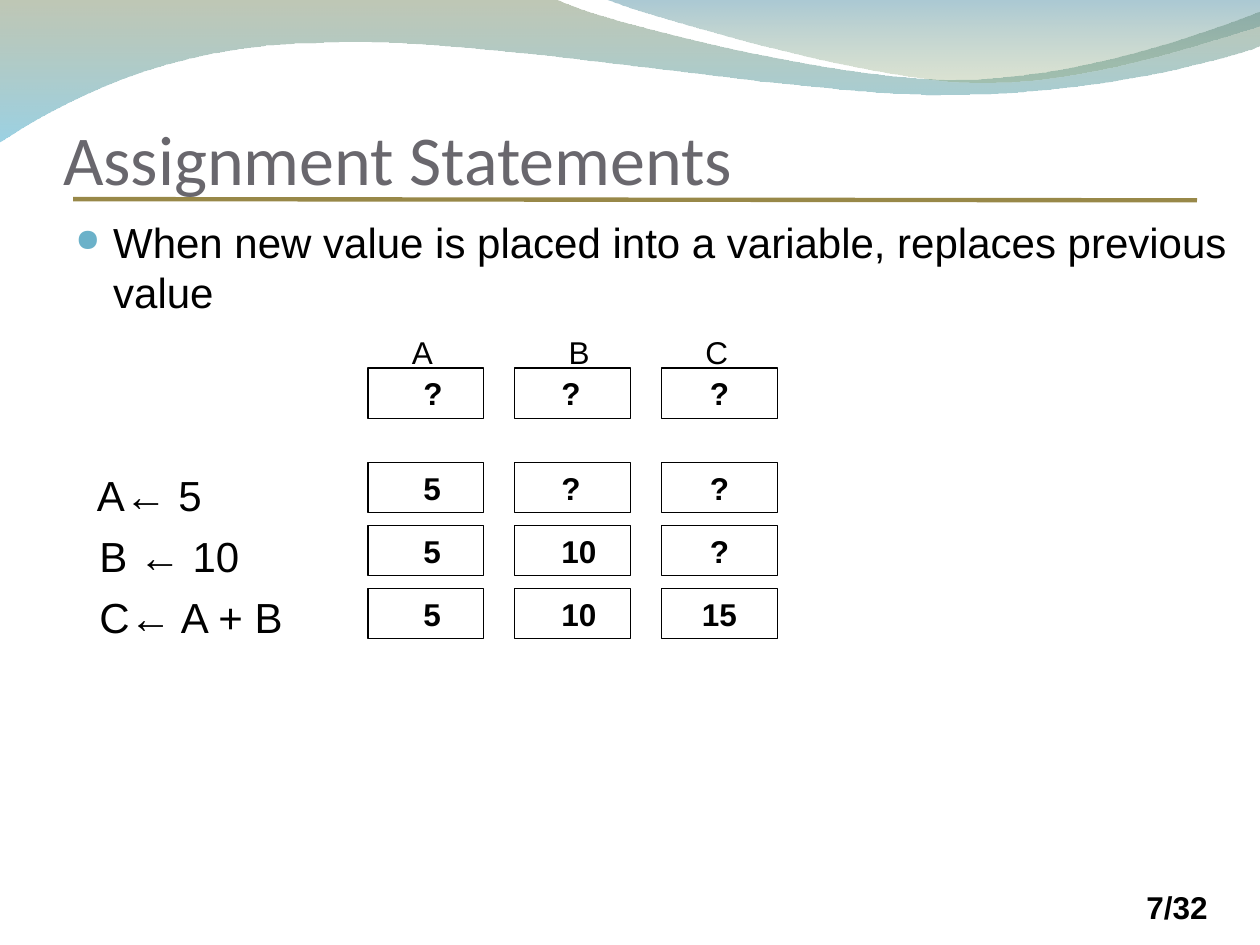
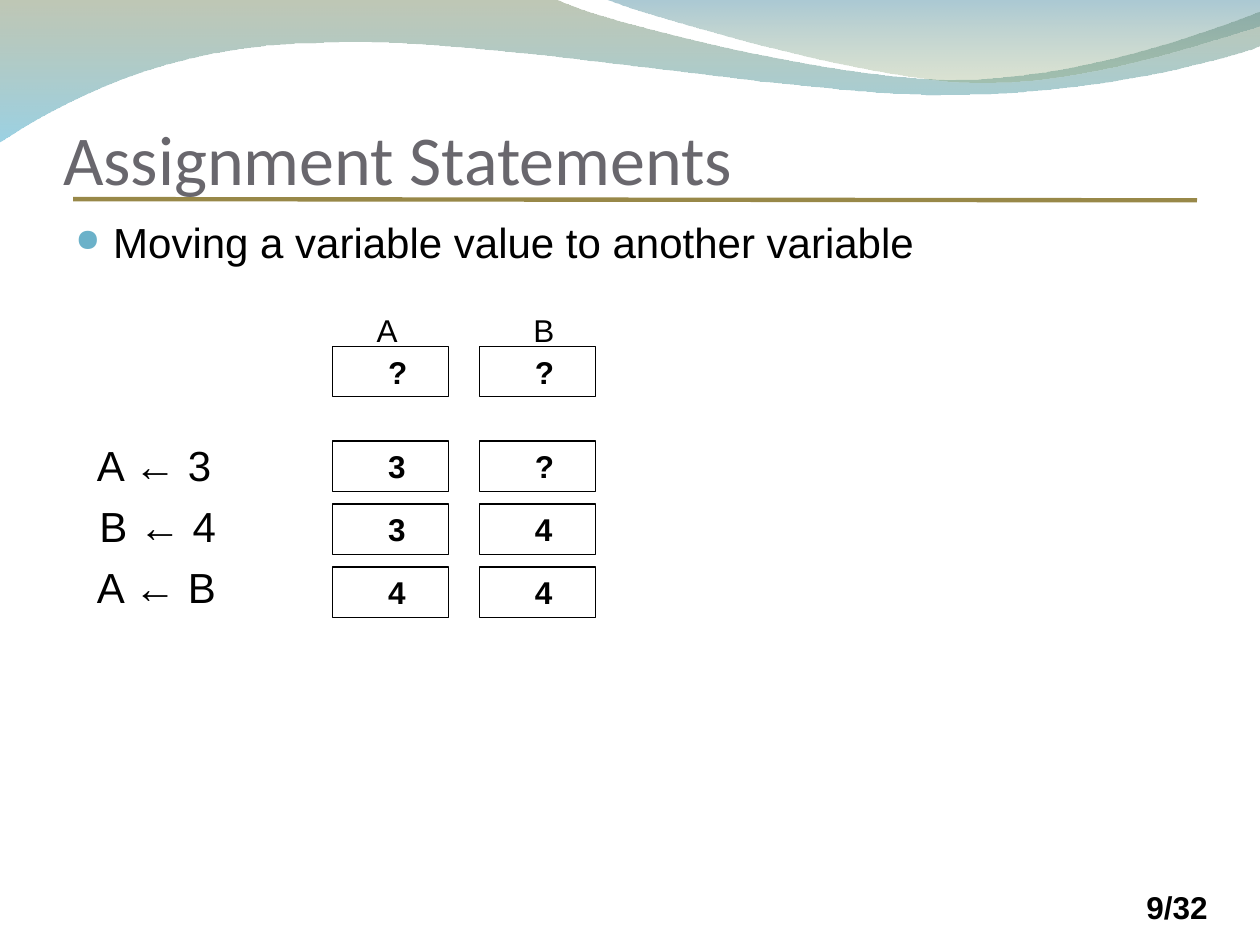
from lxml import etree
from pptx import Presentation
from pptx.dml.color import RGBColor
from pptx.enum.shapes import MSO_CONNECTOR, MSO_SHAPE
from pptx.enum.text import MSO_ANCHOR, MSO_AUTO_SIZE, PP_ALIGN
from pptx.oxml.ns import qn
from pptx.util import Inches, Pt

RECT = MSO_SHAPE.RECTANGLE
STRAIGHT = MSO_CONNECTOR.STRAIGHT
TOP, BOTTOM = MSO_ANCHOR.TOP, MSO_ANCHOR.BOTTOM
LEFT, CENTER = PP_ALIGN.LEFT, PP_ALIGN.CENTER
BLACK, GREY, GOLD, BLUE = "000000", "69676D", "988848", "6BB1C9"
COL_GAP = 1.165
CELL = (0.92, 0.4)
LABEL_DX = (0.25, 0.33, 0.25)

BAND = [(0, -0.01), (4.4, -0.01),
        (4.76, 0.17, 6.64, 0.63, 7.58, 0.63), (8.53, 0.63, 9.58, 0.26, 10, 0.09),
        (10.01, 0.36), (9.83, 0.44, 8.7, 0.76, 7.46, 0.75),
        (6.22, 0.75, 3.82, 0.28, 2.57, 0.34), (1.29, 0.35, 0.46, 0.83, -0.01, 1.13)]
CREST = [(4.79, -0.01), (5.09, 0.11, 6.82, 0.62, 7.69, 0.65),
         (8.56, 0.69, 9.61, 0.32, 10, 0.21), (10, 0)]


def rgb(color):
    """Turn a hex string into a colour."""
    return RGBColor.from_string(color)


def box(at):
    """Turn lengths in inches into drawing units."""
    return [Inches(v) for v in at]


def style(para, size, color=BLACK, bold=False, font="Arial"):
    """Set the font of a paragraph."""
    para.font.name = font
    para.font.size = Pt(size)
    para.font.bold = bold
    para.font.color.rgb = rgb(color)


def bend(shape, parts):
    """Turn the six-number parts of an outline into Bezier curves."""
    lines = list(shape.element.iter(qn("a:lnTo")))
    for line, part in zip(lines, parts[1:]):
        if len(part) == 2:
            continue
        curve = etree.Element(qn("a:cubicBezTo"))
        for x, y in zip(box(part[::2]), box(part[1::2])):
            etree.SubElement(curve, qn("a:pt"),
                             x=str(x - shape.left), y=str(y - shape.top))
        line.getparent().replace(line, curve)


def wave(slide, parts, stops):
    """Draw a curved band with a see-through gradient from top to bottom."""
    start, *rest = [box(part[-2:]) for part in parts]
    form = slide.shapes.build_freeform(*start)
    form.add_line_segments(rest, close=True)
    shape = form.convert_to_shape()
    bend(shape, parts)
    shape.shadow.inherit = False
    shape.line.fill.background()
    shape.fill.gradient()
    shape.fill.gradient_angle = 270
    for stop, (color, _) in zip(shape.fill.gradient_stops, stops):
        stop.color.rgb = rgb(color)
    for node, (_, alpha) in zip(shape.element.iter(qn("a:srgbClr")), stops):
        etree.SubElement(node, qn("a:alpha"), val=str(alpha * 1000))
    return shape


def rule(slide):
    """Draw the line under the title."""
    line = slide.shapes.add_connector(STRAIGHT, *box((0.58, 1.58, 9.5, 1.59)))
    line.line.color.rgb = rgb(GOLD)
    line.line.width = Pt(2.5)
    etree.SubElement(line.element.spPr, qn("a:effectLst"))
    return line


def theme(layout, slide):
    """Draw the bands and the rule once and hand them to the layout."""
    for holder in list(layout.placeholders):
        if holder.placeholder_format.idx:
            layout.shapes.element.remove(holder.element)
    decor = [wave(slide, BAND, [("72845C", 45), ("49ACCD", 55)]),
             wave(slide, CREST, [("42869E", 45), ("8AA26C", 30)]),
             rule(slide)]
    for place, shape in enumerate(decor, 2):
        layout.shapes.element.insert(place, shape.element)


def title(slide, text):
    """Place and format the title."""
    shape = slide.shapes.title
    shape.left, shape.top, shape.width, shape.height = box((0.5, 0.33, 9, 1.25))
    frame = shape.text_frame
    frame.text = text
    frame.auto_size = MSO_AUTO_SIZE.NONE
    frame.vertical_anchor = BOTTOM
    frame.margin_left = frame.margin_right = frame.margin_bottom = 0
    frame.margin_top = Inches(0.05)
    para = frame.paragraphs[0]
    para.alignment = LEFT
    style(para, 40, GREY, font="Calibri")


def label(slide, at, text, bold=False):
    """Add a short line of text."""
    frame = slide.shapes.add_textbox(*box(at)).text_frame
    frame.word_wrap = True
    frame.text = text
    style(frame.paragraphs[0], 18, bold=bold)


def bullet(para):
    """Give a paragraph a round blue bullet."""
    props = para._p.get_or_add_pPr()
    props.set("marL", str(Inches(0.3)))
    props.set("indent", str(-Inches(0.3)))
    tint = etree.SubElement(props, qn("a:buClr"))
    etree.SubElement(tint, qn("a:srgbClr"), val=BLUE)
    etree.SubElement(props, qn("a:buSzPct"), val="75000")
    etree.SubElement(props, qn("a:buChar"), char="●")


def body(slide, width, point, steps, gap):
    """Add the bullet point and, below a gap, the assignment steps."""
    frame = slide.shapes.add_textbox(*box((0.5, 1.67, width, 5.33))).text_frame
    frame.word_wrap = True
    frame.text = "\n".join([point, *steps])
    first, *rest = frame.paragraphs
    bullet(first)
    style(first, 24)
    for para in rest:
        indent = 0.17 if para.text.startswith("A") else 0.19
        para._p.get_or_add_pPr().set("marL", str(Inches(indent)))
        para.space_before = Pt(6)
        style(para, 24)
    rest[0].space_before = Pt(gap)


def cell(slide, left, top, text, pad):
    """Draw a value box, its text padded from the left or centred."""
    shape = slide.shapes.add_shape(RECT, *box((left, top, *CELL)))
    shape.shadow.inherit = False
    shape.fill.background()
    shape.line.color.rgb = rgb(BLACK)
    shape.line.width = Pt(0.75)
    frame = shape.text_frame
    frame.vertical_anchor = TOP
    frame.text = text
    para = frame.paragraphs[0]
    para.alignment = LEFT if pad else CENTER
    if pad:
        frame.margin_left = Inches(pad)
    style(para, 18, bold=True)


def grid(slide, left, top, names, pads, rows):
    """Draw the named variables and their values after each step."""
    for col, (name, pad) in enumerate(zip(names, pads)):
        x = left + col * COL_GAP
        label(slide, (x + LABEL_DX[col], top - 0.33, 0.5, 0.4), name)
        for row, values in enumerate(rows):
            y = top + 0.5 * row + (0.25 if row else 0)
            cell(slide, x, y, values[col], pad)


def page(prs, number):
    """Add a slide with the shared title and its page number."""
    slide = prs.slides.add_slide(prs.slide_layouts[5])
    title(slide, "Assignment Statements")
    label(slide, (9, 7, 0.92, 0.4), f"{number}/32", bold=True)
    return slide


def main():
    """Build the deck."""
    prs = Presentation()
    prs.slide_width, prs.slide_height = Inches(10), Inches(7.5)

    slide = page(prs, 7)
    theme(slide.slide_layout, slide)
    body(slide, 9.5,
         "When new value is placed into a variable, replaces previous value",
         ["A← 5", "B ← 10", "C← A + B"], 87)
    grid(slide, 2.92, 2.92, "ABC", (0.44, 0.37, None),
         [("?", "?", "?"), ("5", "?", "?"), ("5", "10", "?"), ("5", "10", "15")])

    slide = page(prs, 9)
    body(slide, 9, "Moving a variable value to another variable",
         ["A ← 3", "B ← 4", "A ← B"], 98.5)
    grid(slide, 2.64, 2.75, "AB", (0.44, 0.44),
         [("?", "?"), ("3", "?"), ("3", "4"), ("4", "4")])

    prs.save("out.pptx")


if __name__ == "__main__":
    main()
